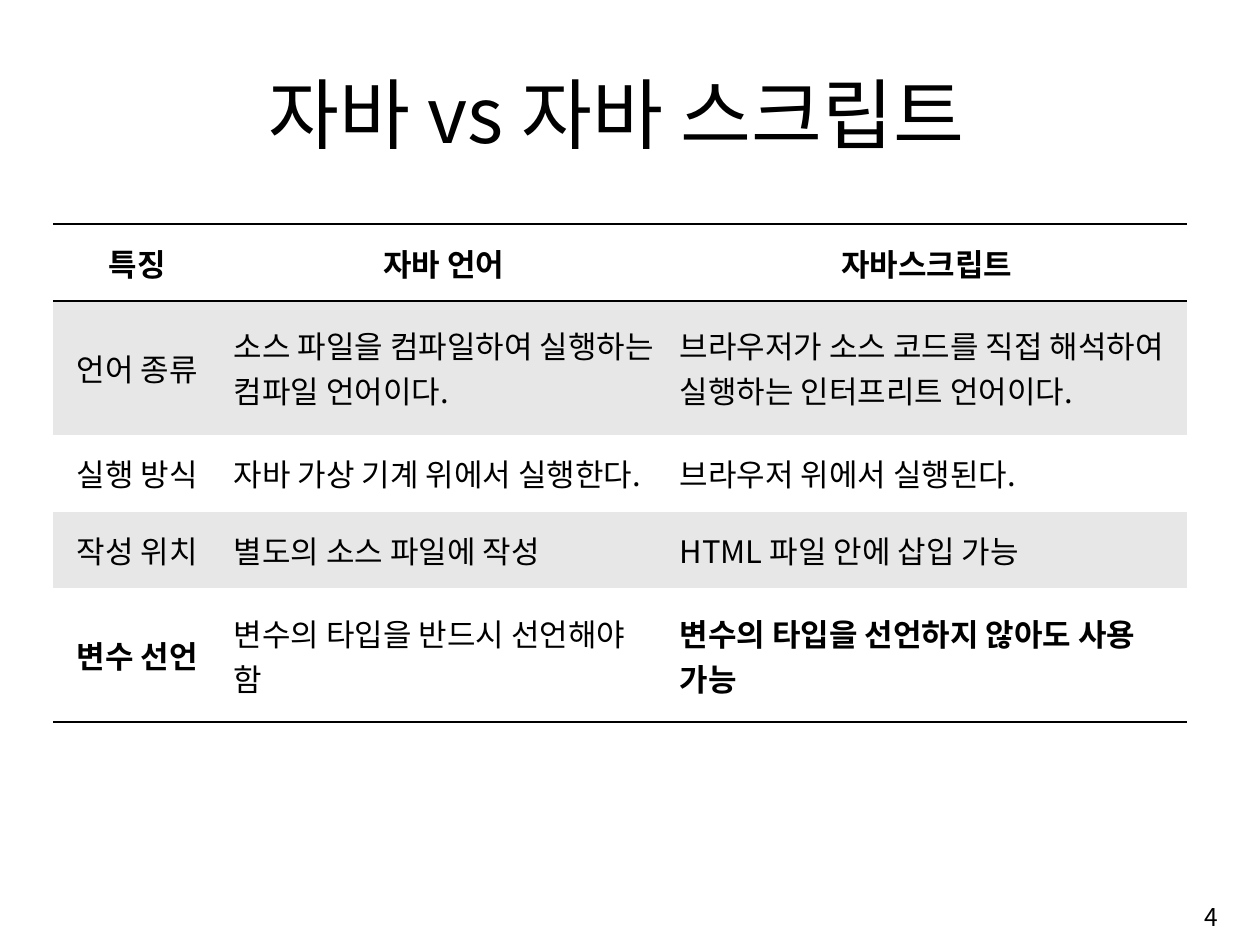
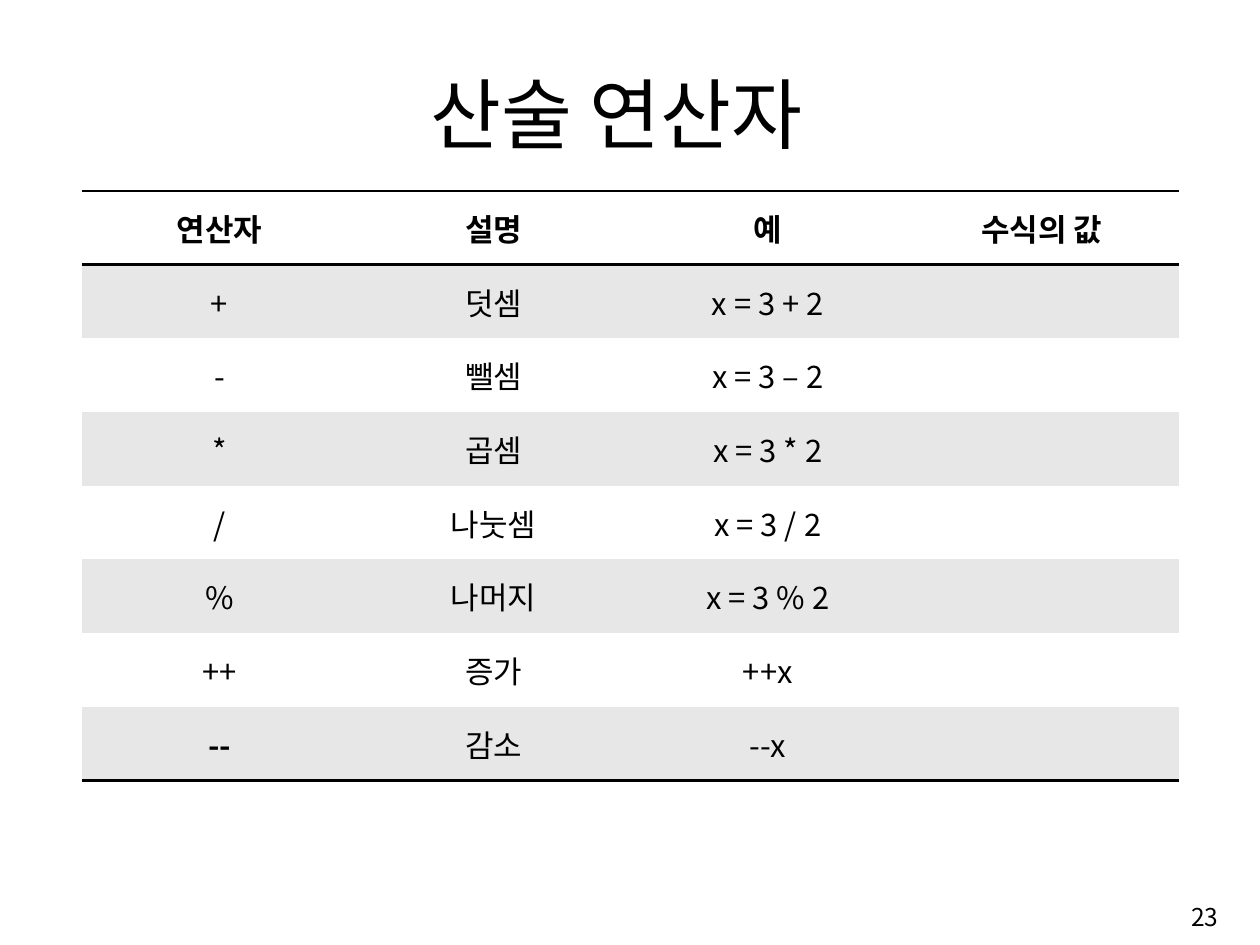
import pptx
import pptx.util
import pptx.dml.color
import pptx.enum.text
import pptx.oxml
import pptx.oxml.ns
import lxml.etree

Cm = pptx.util.Cm
ALIGN = pptx.enum.text.PP_ALIGN
ANCHOR = pptx.enum.text.MSO_ANCHOR
FONT = "Noto Sans CJK KR"
HUES = {"ink": "000000", "page": "FFFFFF", "band": "E7E7E7"}

LANGS = [
    ["특징", "자바 언어", "자바스크립트"],
    ["언어 종류", "소스 파일을 컴파일하여 실행하는 컴파일 언어이다.",
     "브라우저가 소스 코드를 직접 해석하여 실행하는 인터프리트 언어이다."],
    ["실행 방식", "자바 가상 기계 위에서 실행한다.", "브라우저 위에서 실행된다."],
    ["작성 위치", "별도의 소스 파일에 작성", "HTML 파일 안에 삽입 가능"],
    ["변수 선언", "변수의 타입을 반드시 선언해야 함",
     "변수의 타입을 선언하지 않아도 사용 가능"],
]
MATHS = [
    ["연산자", "설명", "예", "수식의 값"],
    ["+", "덧셈", "x = 3 + 2", ""],
    ["-", "뺄셈", "x = 3 – 2", ""],
    ["*", "곱셈", "x = 3 * 2", ""],
    ["/", "나눗셈", "x = 3 / 2", ""],
    ["%", "나머지", "x = 3 % 2", ""],
    ["++", "증가", "++x", ""],
    ["--", "감소", "--x", ""],
]


def color(name):
    return pptx.dml.color.RGBColor.from_string(HUES[name])


def write(frame, text, size, align, bold=False):
    frame.text = text
    para = frame.paragraphs[0]
    para.alignment = align
    for run in para.runs:
        font = run.font
        font.name, font.size, font.bold = FONT, pptx.util.Pt(size), bold
        font.color.rgb = color("ink")
        east = lxml.etree.SubElement(run._r.get_or_add_rPr(), pptx.oxml.ns.qn("a:ea"))
        east.set("typeface", FONT)


def place(shape, left, top, width, height):
    shape.left, shape.top = Cm(left), Cm(top)
    shape.width, shape.height = Cm(width), Cm(height)


def border(cell, sides):
    props = cell._tc.get_or_add_tcPr()
    for side in "LRTB":
        line = lxml.etree.SubElement(props, pptx.oxml.ns.qn(f"a:ln{side}"))
        if side in sides:
            line.set("w", str(pptx.util.Pt(2)))
            fill = lxml.etree.SubElement(line, pptx.oxml.ns.qn("a:solidFill"))
            hue = lxml.etree.SubElement(fill, pptx.oxml.ns.qn("a:srgbClr"))
            hue.set("val", HUES["ink"])
        else:
            lxml.etree.SubElement(line, pptx.oxml.ns.qn("a:noFill"))


def style(cell, text, align, bold, fill, sides):
    border(cell, sides)
    cell.fill.solid()
    cell.fill.fore_color.rgb = color(fill)
    cell.vertical_anchor = ANCHOR.MIDDLE
    cell.margin_left = cell.margin_right = Cm(0.33)
    cell.margin_top = cell.margin_bottom = Cm(0.15)
    write(cell.text_frame, text, 23, align, bold)


def add_grid(slide, data, left, top, widths, heights, strong, flush=()):
    frame = slide.shapes.add_table(len(data), len(widths), Cm(left), Cm(top),
                                   Cm(sum(widths)), Cm(sum(heights)))
    table = frame.table
    table.first_row = table.horz_banding = False
    for col, width in zip(table.columns, widths):
        col.width = Cm(width)
    for y, (row, height) in enumerate(zip(data, heights)):
        table.rows[y].height = Cm(height)
        sides = "TB" if y == 0 else "B" if y == len(data) - 1 else "T" if y == 1 else ""
        for x, text in enumerate(row):
            align = ALIGN.LEFT if y and x in flush else ALIGN.CENTER
            style(table.cell(y, x), text, align, y == 0 or (y, x) in strong,
                  "band" if y % 2 else "page", sides)


def add_page(deck, title, number):
    slide = deck.slides.add_slide(deck.slide_layouts[5])
    head = slide.shapes.title
    place(head, 2.67, 1.55, 26.95, 2.74)
    write(head.text_frame, title, 57.2, ALIGN.CENTER)
    head.text_frame.vertical_anchor = ANCHOR.BOTTOM
    head.text_frame.auto_size = pptx.enum.text.MSO_AUTO_SIZE.NONE
    foot = slide.shapes.add_textbox(Cm(25.35), Cm(23.24), Cm(6.81), Cm(1.52))
    foot.text_frame.word_wrap = True
    foot.text_frame.vertical_anchor = ANCHOR.MIDDLE
    write(foot.text_frame, str(number), 18.2, ALIGN.RIGHT)
    return slide


def main():
    deck = pptx.Presentation()
    deck.slide_width, deck.slide_height = Cm(33), Cm(24.75)
    slide = add_page(deck, "자바 vs 자바 스크립트", 4)
    add_grid(slide, LANGS, 1.4, 5.87, [4.39, 11.68, 13.61],
             [2.01, 3.51, 2.01, 2.01, 3.51], {(4, 0), (4, 2)}, (1, 2))
    slide = add_page(deck, "산술 연산자", 23)
    add_grid(slide, MATHS, 2.16, 5, [7.18] * 4, [1.93] * 8, {(7, 0)})
    deck.save("out.pptx")


if __name__ == "__main__":
    main()
